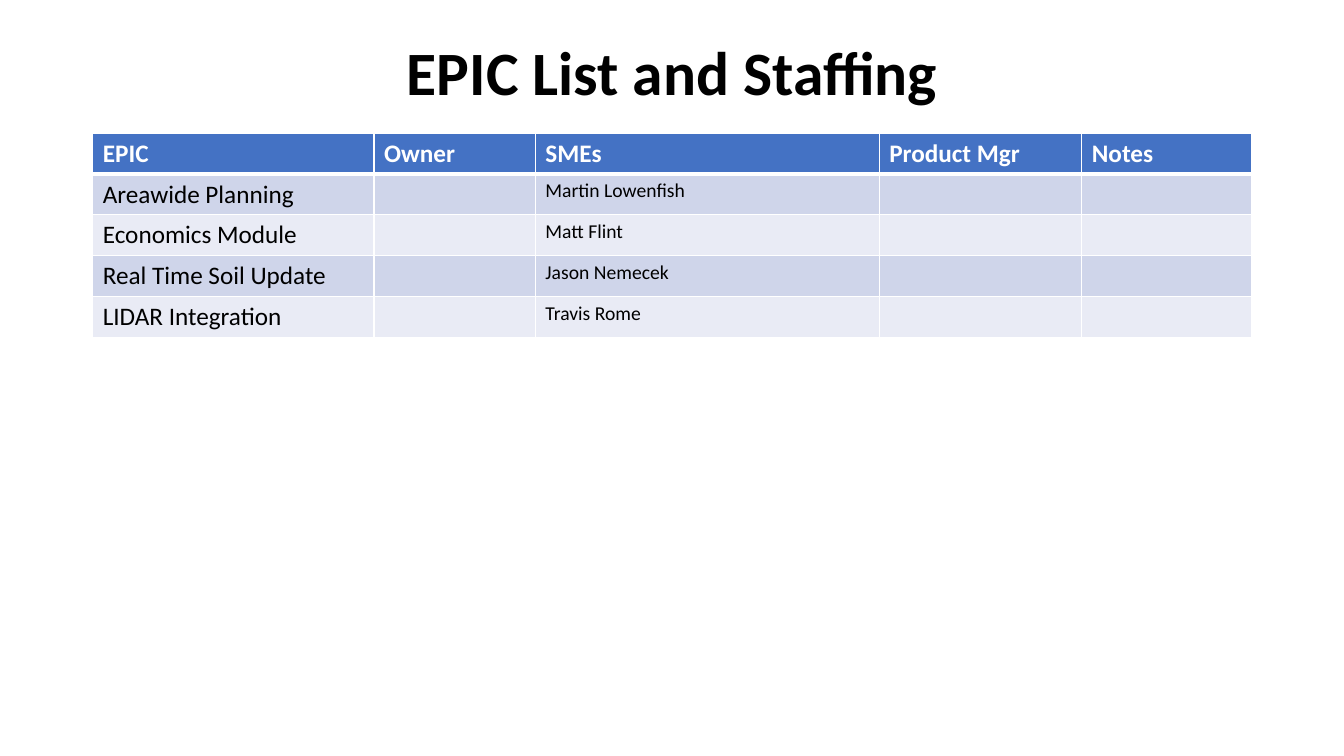
from dataclasses import dataclass

from lxml.etree import SubElement
from pptx import Presentation
from pptx.dml.color import RGBColor as Rgb
from pptx.enum.text import MSO_ANCHOR as Anchor, PP_ALIGN as Align
from pptx.oxml.ns import qn
from pptx.slide import Slide
from pptx.table import _Cell as Cell
from pptx.text.text import TextFrame
from pptx.util import Inches, Pt


@dataclass(frozen=True)
class Theme:
    font: str = "Calibri"
    ink: str = "000000"
    paper: str = "FFFFFF"
    header: str = "4472C4"
    bands: tuple[str, str] = ("CFD5EA", "E9EBF5")
    title_size: int = 44
    body_size: int = 18
    small_size: int = 14
    rule: int = 1
    header_rule: int = 3


@dataclass(frozen=True)
class Column:
    heading: str
    span: float
    size: int


@dataclass(frozen=True)
class Epic:
    name: str
    expert: str

    def values(self) -> tuple[str, ...]:
        return self.name, "", self.expert, "", ""


@dataclass(frozen=True)
class Area:
    left: float
    top: float
    width: float
    height: float

    def lengths(self) -> tuple[int, ...]:
        return tuple(grid(value) for value in (self.left, self.top, self.width, self.height))


THEME = Theme()
GRID_UNIT = 0.1
ROW_SPAN = 4.06
TITLE_AREA = Area(9.2, 0.2, 115, 14.5)
TABLE_LEFT, TABLE_TOP = 9.2, 13.2
COLUMNS = (
    Column("EPIC", 27.9, THEME.body_size),
    Column("Owner", 16, THEME.body_size),
    Column("SMEs", 34.1, THEME.small_size),
    Column("Product Mgr", 20.1, THEME.body_size),
    Column("Notes", 16.8, THEME.body_size),
)
EPICS = (
    Epic("Areawide Planning", "Martin Lowenfish"),
    Epic("Economics Module", "Matt Flint"),
    Epic("Real Time Soil Update", "Jason Nemecek"),
    Epic("LIDAR Integration", "Travis Rome"),
)


def grid(units: float) -> int:
    return Inches(units * GRID_UNIT)


def write(frame: TextFrame, text: str, *, size: int, color: str = THEME.ink,
          bold: bool = False, align: Align = Align.LEFT, spacing: float = 1.0) -> None:
    para = frame.paragraphs[0]
    para.alignment = align
    para.line_spacing = spacing
    para.font.size = Pt(size)
    if text:
        span = para.add_run()
        span.text = text
        span.font.name = THEME.font
        span.font.size = Pt(size)
        span.font.bold = bold
        span.font.color.rgb = Rgb.from_string(color)


def add_borders(cell: Cell, *, top: int, bottom: int) -> None:
    properties = cell._tc.get_or_add_tcPr()
    widths = {"L": THEME.rule, "R": THEME.rule, "T": top, "B": bottom}
    for side, width in widths.items():
        line = SubElement(properties, qn(f"a:ln{side}"), w=str(Pt(width)))
        fill = SubElement(line, qn("a:solidFill"))
        SubElement(fill, qn("a:srgbClr"), val=THEME.paper)


def add_title(page: Slide, text: str) -> None:
    box = page.shapes.add_textbox(*TITLE_AREA.lengths())
    frame = box.text_frame
    frame.word_wrap = True
    frame.vertical_anchor = Anchor.MIDDLE
    write(frame, text, size=THEME.title_size, bold=True, align=Align.CENTER, spacing=0.9)


def add_staffing_table(page: Slide) -> None:
    rows = [tuple(column.heading for column in COLUMNS), *(epic.values() for epic in EPICS)]
    area = Area(TABLE_LEFT, TABLE_TOP, sum(column.span for column in COLUMNS), ROW_SPAN * len(rows))
    table = page.shapes.add_table(len(rows), len(COLUMNS), *area.lengths()).table
    for track, column in zip(table.columns, COLUMNS):
        track.width = grid(column.span)
    for index, values in enumerate(rows):
        is_header = index == 0
        table.rows[index].height = grid(ROW_SPAN)
        shade = THEME.header if is_header else THEME.bands[(index - 1) % 2]
        top = THEME.header_rule if index == 1 else THEME.rule
        bottom = THEME.header_rule if is_header else THEME.rule
        for cell, column, value in zip(table.rows[index].cells, COLUMNS, values):
            add_borders(cell, top=top, bottom=bottom)
            cell.fill.solid()
            cell.fill.fore_color.rgb = Rgb.from_string(shade)
            write(cell.text_frame, value,
                  size=THEME.body_size if is_header else column.size,
                  color=THEME.paper if is_header else THEME.ink, bold=is_header)


def main() -> None:
    deck = Presentation()
    deck.slide_width, deck.slide_height = Inches(13.33), Inches(7.5)
    page = deck.slides.add_slide(deck.slide_layouts[6])
    add_title(page, "EPIC List and Staffing")
    add_staffing_table(page)
    deck.save("out.pptx")


if __name__ == "__main__":
    main()
